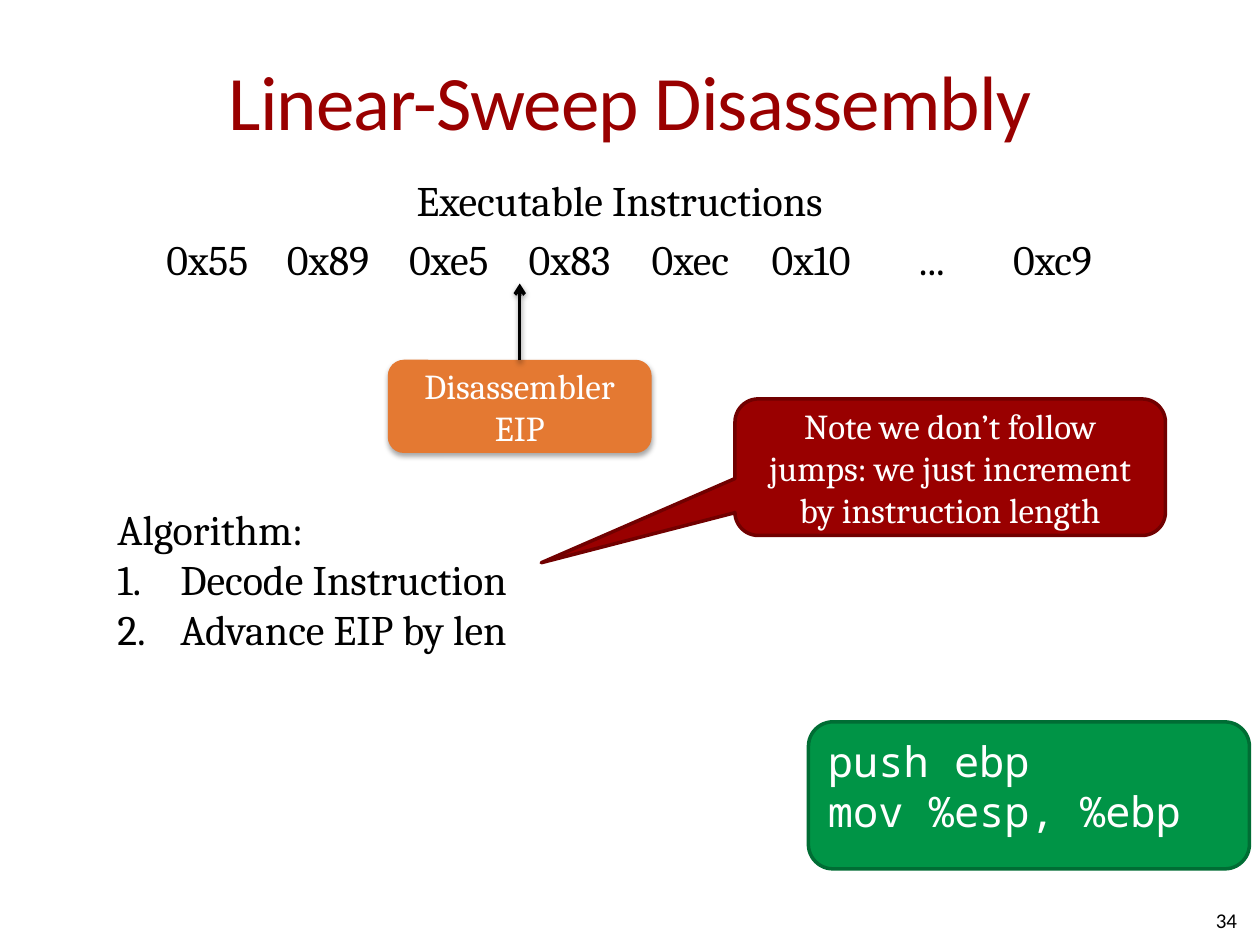
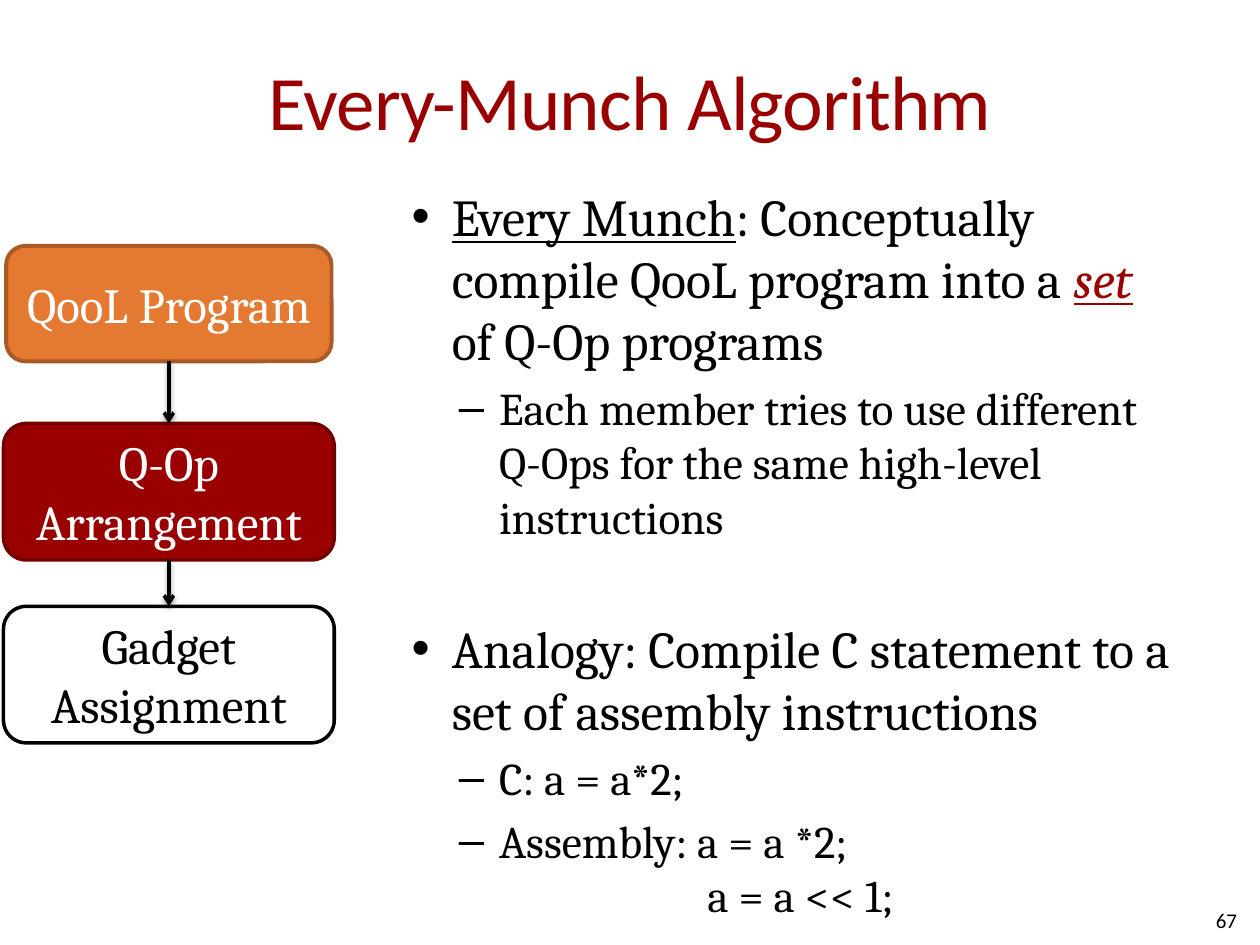
from lxml import etree
from pptx import Presentation
from pptx.dml.color import RGBColor
from pptx.enum.shapes import MSO_CONNECTOR, MSO_SHAPE
from pptx.enum.text import MSO_ANCHOR, MSO_AUTO_SIZE, PP_ALIGN
from pptx.oxml.ns import qn
from pptx.util import Pt

BLACK = RGBColor(0x00, 0x00, 0x00)
WHITE = RGBColor(0xFF, 0xFF, 0xFF)
RED = RGBColor(0x99, 0x00, 0x00)
DARK_RED = RGBColor(0x71, 0x00, 0x00)
ORANGE = RGBColor(0xE4, 0x79, 0x32)
DARK_ORANGE = RGBColor(0xA9, 0x5A, 0x25)
GREEN = RGBColor(0x00, 0x94, 0x46)
DARK_GREEN = RGBColor(0x00, 0x6D, 0x34)

SANS, SERIF, MONO = "Calibri", "Cambria", "Noto Sans Mono"

LEFT, CENTER, RIGHT = PP_ALIGN.LEFT, PP_ALIGN.CENTER, PP_ALIGN.RIGHT
TOP, MIDDLE = MSO_ANCHOR.TOP, MSO_ANCHOR.MIDDLE
ROUNDED = MSO_SHAPE.ROUNDED_RECTANGLE
CALLOUT = MSO_SHAPE.ROUNDED_RECTANGULAR_CALLOUT
STRAIGHT = MSO_CONNECTOR.STRAIGHT

TITLE_AND_CONTENT, TITLE_ONLY = 1, 5
BOX_TOP, BOX_BOTTOM = 0, 2


def points(*lengths):
    return [Pt(length) for length in lengths]


# Text

def add_run(paragraph, text, size, font=SERIF, color=BLACK, italic=False, underline=False):
    run = paragraph.add_run()
    run.text = text
    run.font.name = font
    run.font.size = Pt(size)
    run.font.color.rgb = color
    run.font.italic = italic
    run.font.underline = underline
    return run


def add_lines(paragraph, text, size, **style):
    """Add text whose newlines become line breaks."""
    for index, line in enumerate(text.split("\n")):
        if index:
            paragraph.add_line_break()
        add_run(paragraph, line, size, **style)


def next_paragraph(frame):
    first = frame.paragraphs[0]
    return frame.add_paragraph() if first.runs else first


def set_bullet(paragraph, left, hanging, tag, **attributes):
    properties = paragraph._p.get_or_add_pPr()
    properties.set("marL", str(Pt(left)))
    properties.set("indent", str(Pt(-hanging)))
    etree.SubElement(properties, qn(tag), attributes)


def set_frame(frame, anchor):
    frame.word_wrap = True
    frame.auto_size = MSO_AUTO_SIZE.NONE
    frame.vertical_anchor = anchor


def add_label(slide, bounds, text, size, align=LEFT, anchor=TOP, font=SERIF):
    box = slide.shapes.add_textbox(*points(*bounds))
    set_frame(box.text_frame, anchor)
    paragraph = box.text_frame.paragraphs[0]
    paragraph.alignment = align
    add_run(paragraph, text, size, font)
    return box


# Shapes and lines

def add_shadow(shape, opacity, distance):
    properties = shape._element.spPr
    effects = properties.find(qn("a:effectLst"))
    if effects is None:
        effects = etree.SubElement(properties, qn("a:effectLst"))
    shadow = etree.SubElement(effects, qn("a:outerShdw"), blurRad=str(Pt(3.1)),
                              dist=str(Pt(distance)), dir="5400000", rotWithShape="0")
    color = etree.SubElement(shadow, qn("a:srgbClr"), val=str(BLACK))
    etree.SubElement(color, qn("a:alpha"), val=str(opacity * 1000))


def add_box(slide, bounds, paragraphs, size, fill, outline, width=2, preset=ROUNDED,
            color=WHITE, font=SERIF, align=CENTER, anchor=MIDDLE):
    box = slide.shapes.add_shape(preset, *points(*bounds))
    box.shadow.inherit = False
    box.fill.solid()
    box.fill.fore_color.rgb = fill
    box.line.color.rgb = outline
    box.line.width = Pt(width)
    set_frame(box.text_frame, anchor)
    for text in paragraphs:
        paragraph = next_paragraph(box.text_frame)
        paragraph.alignment = align
        add_lines(paragraph, text, size, font=font, color=color)
    return box


def add_arrow(slide, start_box, start_side, end, end_box=None):
    arrow = slide.shapes.add_connector(STRAIGHT, 0, 0, *points(*end))
    arrow.begin_connect(start_box, start_side)
    if end_box is not None:
        arrow.end_connect(end_box, BOX_TOP)
    arrow.line.color.rgb = BLACK
    arrow.line.width = Pt(2)
    etree.SubElement(arrow.line._get_or_add_ln(), qn("a:tailEnd"), type="arrow")
    add_shadow(arrow, 38, 1.6)


def add_byte_row(slide, left, top, column_width, height, values):
    frame = slide.shapes.add_table(
        1, len(values), *points(left, top, column_width * len(values), height))
    table = frame.table
    table.first_row = False
    table.horz_banding = False
    for index, value in enumerate(values):
        table.columns[index].width = Pt(column_width)
        cell = table.cell(0, index)
        cell.fill.background()
        paragraph = cell.text_frame.paragraphs[0]
        paragraph.alignment = CENTER
        add_run(paragraph, value, 24)


# Shared slide parts

def place(shape, bounds):
    shape.left, shape.top, shape.width, shape.height = points(*bounds)


def add_slide(presentation, layout, title, number):
    slide = presentation.slides.add_slide(presentation.slide_layouts[layout])
    heading = slide.shapes.title
    place(heading, (36, 12, 648, 90))
    frame = heading.text_frame
    set_frame(frame, MIDDLE)
    frame.margin_left = frame.margin_right = 0
    frame.paragraphs[0].alignment = CENTER
    run = add_run(frame.paragraphs[0], title, 44, SANS, RED)
    run._r.get_or_add_rPr().set("spc", "-50")
    add_label(slide, (546, 511, 168, 29), number, 12, RIGHT, MIDDLE, SANS)
    return slide


# Slides

def build_linear_sweep(presentation):
    slide = add_slide(presentation, TITLE_ONLY, "Linear-Sweep Disassembly", "34")

    # Instruction bytes and the pointer into them
    add_label(slide, (231, 96, 258, 36), "Executable Instructions", 24)
    add_byte_row(slide, 84, 132, 69, 36,
                 ["0x55", "0x89", "0xe5", "0x83", "0xec", "0x10", "...", "0xc9"])
    pointer = add_box(slide, (222, 206, 150, 52.5), ["Disassembler\nEIP"], 20,
                      ORANGE, ORANGE, 0.75)
    add_shadow(pointer, 35, 1.8)
    add_arrow(slide, pointer, BOX_TOP, (297, 162))

    # Decoded output
    add_box(slide, (462, 412.5, 252, 84), ["push ebp", "mov %esp, %ebp"], 24,
            GREEN, DARK_GREEN, font=MONO, align=LEFT, anchor=TOP)

    # Algorithm steps
    algorithm = add_label(slide, (60, 284, 288, 94), "Algorithm:", 24)
    for step in ("Decode Instruction", "Advance EIP by len"):
        paragraph = next_paragraph(algorithm.text_frame)
        set_bullet(paragraph, 36, 36, "a:buAutoNum", type="arabicPeriod")
        add_run(paragraph, step, 24)

    # Callout
    note = add_box(
        slide, (420, 228, 246, 78),
        ["Note we don’t follow jumps: we just increment by instruction length"],
        20, RED, DARK_RED, preset=CALLOUT)
    for index, value in enumerate((-0.95, 0.7, 0.17)):
        note.adjustments[index] = value


def build_every_munch(presentation):
    slide = add_slide(presentation, TITLE_AND_CONTENT, "Every-Munch Algorithm", "67")

    # Explanation: level, space before, runs
    items = [
        (0, 0, [("Every Munch", {"underline": True}),
                (": Conceptually compile QooL program into a ", {}),
                ("set", {"color": RED, "italic": True, "underline": True}),
                (" of Q-Op programs", {})]),
        (1, 5, [("Each member tries to use different Q-Ops for the same "
                 "high-level instructions", {})]),
        (0, 42, [("Analogy: Compile C statement to a set of assembly instructions", {})]),
        (1, 5, [("C: a = a*2;", {})]),
        (1, 5, [("Assembly: a = a *2;", {})]),
    ]
    levels = [(23, "•", 29.6), (50, "–", 25.9)]
    body = slide.placeholders[1]
    place(body, (228, 102, 456, 402))
    set_frame(body.text_frame, TOP)
    for level, space, runs in items:
        left, bullet, size = levels[level]
        paragraph = next_paragraph(body.text_frame)
        paragraph.level = level
        paragraph.space_before = Pt(space)
        set_bullet(paragraph, left, 23, "a:buChar", char=bullet)
        for text, style in runs:
            add_run(paragraph, text, size, **style)

    # Second assembly form, aligned by indent
    alternative = next_paragraph(body.text_frame)
    alternative.level = 1
    alternative.space_before = Pt(0)
    set_bullet(alternative, 169, 0, "a:buNone")
    add_run(alternative, "a = a << 1;", 25.9)

    # Compilation stages
    program = add_box(slide, (3.5, 140.5, 186, 66), ["QooL Program"], 28,
                      ORANGE, DARK_ORANGE, 2.25)
    arrangement = add_box(slide, (2, 242, 189, 78), ["Q-Op\nArrangement"], 28,
                          RED, DARK_RED)
    assignment = add_box(slide, (2, 346.5, 189, 78), ["Gadget\nAssignment"], 28,
                         WHITE, BLACK, color=BLACK)
    add_arrow(slide, program, BOX_BOTTOM, (96.5, 242), arrangement)
    add_arrow(slide, arrangement, BOX_BOTTOM, (96.5, 346.5), assignment)


def main():
    presentation = Presentation()
    presentation.slide_width, presentation.slide_height = points(720, 540)
    build_linear_sweep(presentation)
    build_every_munch(presentation)
    presentation.save("out.pptx")


if __name__ == "__main__":
    main()
